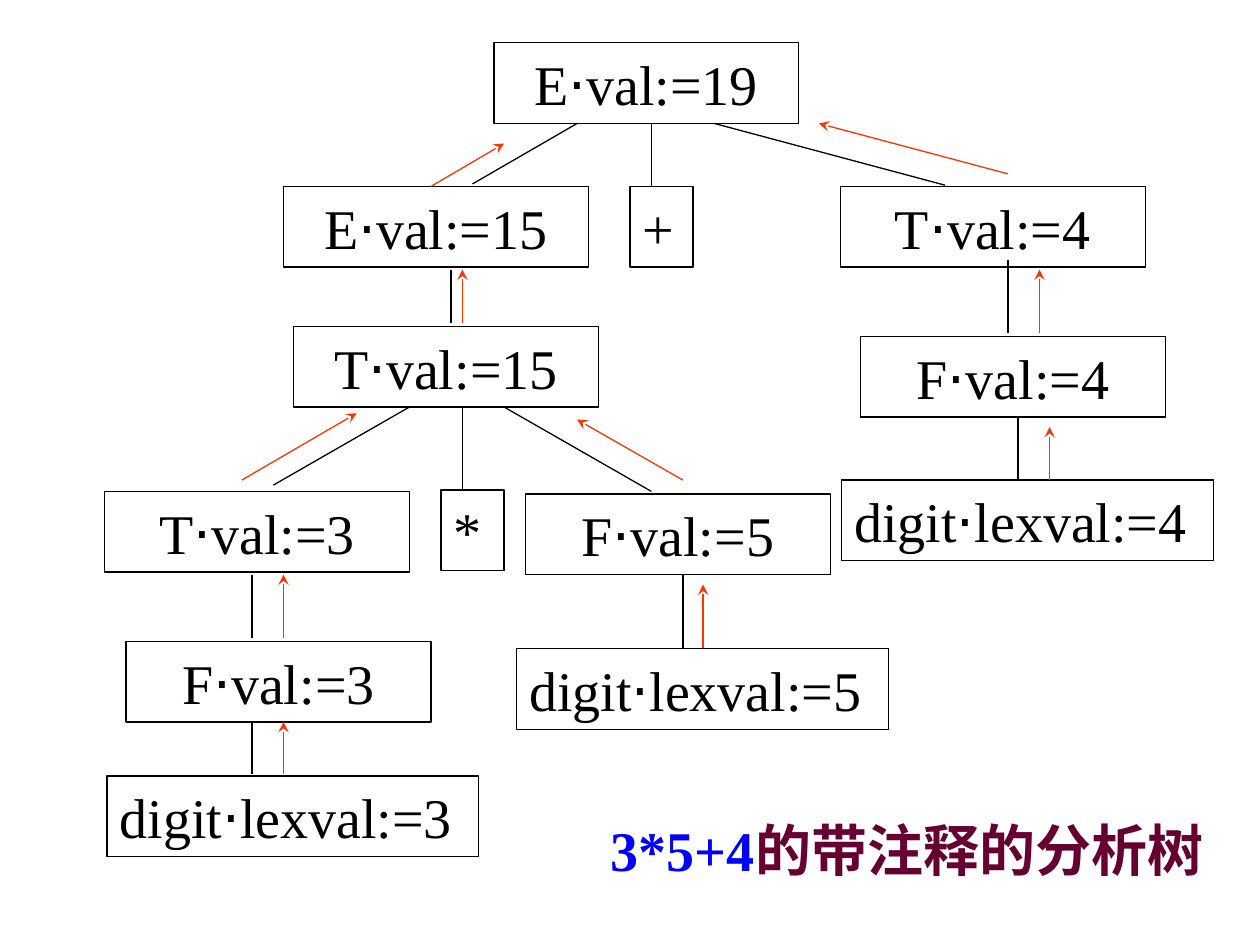
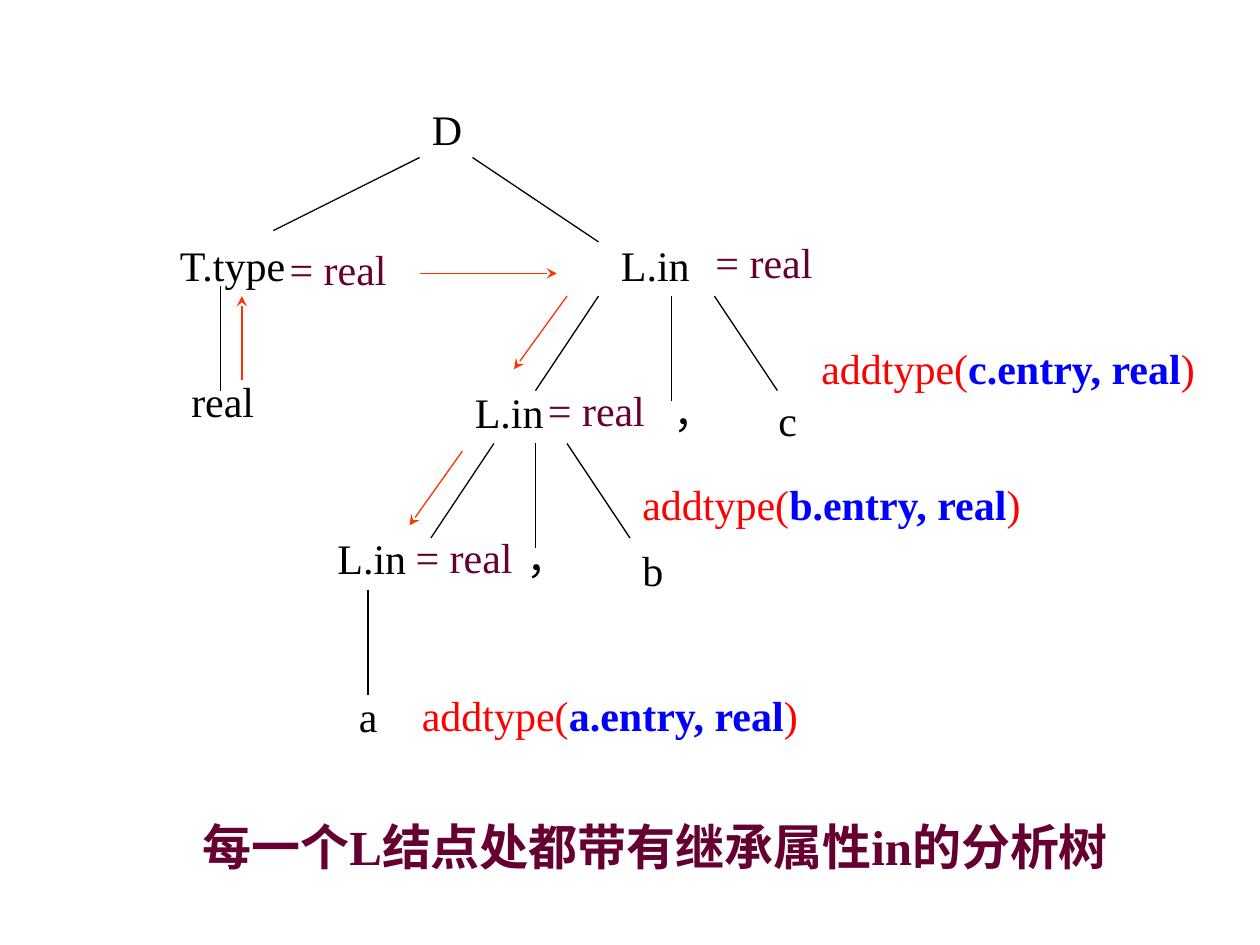
import pptx
import pptx.dml.color
import pptx.enum.shapes
import pptx.enum.text
import pptx.oxml.ns
import pptx.util
from lxml import etree
from pptx.util import Inches

COLOURS = {
    "ink": "000000",
    "paper": "FFFFFF",
    "flow": "FF3300",
    "caption": "660033",
    "action": "FF0000",
    "entry": "0000FF",
}
LATIN = "Times New Roman"
SYMBOL = "Arial"
DOT = "⋅"
LINE_WIDTH = 0.75
NODE_HEIGHT = 0.64
LABEL_HEIGHT = 0.5


def colour(name):
    return pptx.dml.color.RGBColor.from_string(COLOURS[name])


class TreePainter:
    """Draws annotated parse trees on the current page."""

    def __init__(self, deck):
        self.deck = deck
        self.page = None

    def new_page(self):
        self.page = self.deck.slides.add_slide(self.deck.slide_layouts[6])

    def fill_text(self, box, spans, size, centred=False):
        """Fill a box with spans of (text, colour, bold, font)."""
        frame = box.text_frame
        frame.word_wrap = True
        paragraph = frame.paragraphs[0]
        align = pptx.enum.text.PP_ALIGN
        paragraph.alignment = align.CENTER if centred else align.LEFT
        for text, ink, bold, face in spans:
            span = paragraph.add_run()
            span.text = text
            span.font.name = face
            span.font.size = pptx.util.Pt(size)
            span.font.bold = bold
            span.font.color.rgb = colour(ink)

    def node(self, left, top, width, text, centred=True):
        box = self.page.shapes.add_shape(
            pptx.enum.shapes.MSO_SHAPE.RECTANGLE,
            Inches(left), Inches(top), Inches(width), Inches(NODE_HEIGHT))
        box.shadow.inherit = False
        box.fill.solid()
        box.fill.fore_color.rgb = colour("paper")
        box.line.color.rgb = colour("ink")
        box.line.width = pptx.util.Pt(LINE_WIDTH)
        box.text_frame.vertical_anchor = pptx.enum.text.MSO_ANCHOR.MIDDLE
        symbol, dot, attribute = text.partition(DOT)
        spans = [(symbol, "ink", False, LATIN)]
        if dot:
            spans += [(dot, "ink", False, SYMBOL), (attribute, "ink", False, LATIN)]
        self.fill_text(box, spans, 32, centred)

    def text(self, left, top, width, spans, size=24, height=LABEL_HEIGHT):
        box = self.page.shapes.add_textbox(
            Inches(left), Inches(top), Inches(width), Inches(height))
        self.fill_text(box, [(*span, LATIN) for span in spans], size)

    def label(self, left, top, text, ink="ink"):
        self.text(left, top, 1.1, [(text, ink, False)])

    def action(self, left, top, name):
        self.text(left, top, 3.4, [
            ("addtype(", "action", False),
            (f"{name}.entry, real", "entry", True),
            (")", "action", False)])

    def edge(self, x1, y1, x2, y2, ink="ink"):
        line = self.page.shapes.add_connector(
            pptx.enum.shapes.MSO_CONNECTOR.STRAIGHT,
            Inches(x1), Inches(y1), Inches(x2), Inches(y2))
        line.line.color.rgb = colour(ink)
        line.line.width = pptx.util.Pt(LINE_WIDTH)
        properties = line._element.spPr
        etree.SubElement(properties, pptx.oxml.ns.qn("a:effectLst"))
        return line

    def flow(self, x1, y1, x2, y2):
        line = self.edge(x1, y1, x2, y2, "flow")
        outline = line._element.spPr.find(pptx.oxml.ns.qn("a:ln"))
        etree.SubElement(outline, pptx.oxml.ns.qn("a:tailEnd"), type="stealth")


def expression_tree(painter):
    painter.new_page()
    # Nodes with a synthesized value
    for left, top, text in [
            (3.92, 0.34, "E⋅val:=19"), (2.25, 1.48, "E⋅val:=15"),
            (6.67, 1.48, "T⋅val:=4"), (2.33, 2.59, "T⋅val:=15"),
            (6.83, 2.67, "F⋅val:=4"), (0.83, 3.9, "T⋅val:=3"),
            (4.17, 3.92, "F⋅val:=5"), (1, 5.09, "F⋅val:=3")]:
        painter.node(left, top, 2.42, text)
    # Leaves: digits and operators
    for left, top, digit in [(0.85, 6.16, 3), (4.1, 5.15, 5), (6.68, 3.81, 4)]:
        painter.node(left, top, 2.95, f"digit⋅lexval:={digit}", centred=False)
    for left, top, operator in [(5, 1.48, "+"), (3.5, 3.89, "*")]:
        painter.node(left, top, 0.5, operator, centred=False)
    # Tree edges
    for ends in [
            (4.58, 0.98, 3.75, 1.46), (5.17, 0.98, 5.17, 1.48),
            (5.67, 0.98, 7.5, 1.47), (3.58, 2.56, 3.58, 2.14),
            (8, 2.64, 8, 2.06), (8.08, 3.81, 8.08, 3.31),
            (3.25, 3.23, 2.17, 3.85), (3.67, 3.23, 3.67, 3.89),
            (4, 3.23, 5.17, 3.9), (2, 5.06, 2, 4.56),
            (2, 6.14, 2, 5.73), (5.42, 5.14, 5.42, 4.56)]:
        painter.edge(*ends)
    # Values flowing upwards
    for ends in [
            (2.25, 6.14, 2.25, 5.73), (2.25, 5.06, 2.25, 4.56),
            (5.58, 5.14, 5.58, 4.64), (1.92, 3.81, 2.83, 3.28),
            (5.42, 3.81, 4.58, 3.33), (3.67, 2.56, 3.67, 2.14),
            (8.33, 3.81, 8.33, 3.39), (8.25, 2.64, 8.25, 2.14),
            (3.42, 1.48, 4, 1.14), (8, 1.38, 6.5, 0.98)]:
        painter.flow(*ends)
    # Caption
    painter.text(4.75, 6.42, 4.92, [
        ("3*5+4", "entry", True),
        ("的带注释的分析树", "caption", True)], size=32, height=1.17)


def declaration_tree(painter):
    painter.new_page()
    # Grammar symbols
    for left, top, symbol in [
            (3.33, 0.77, "D"), (1.33, 1.85, "T.type"), (4.83, 1.85, "L.in"),
            (1.42, 2.93, "real"), (3.67, 3.02, "L.in"), (5.25, 3.02, "，"),
            (6.08, 3.08, "c"), (2.58, 4.18, "L.in"), (4.08, 4.18, "，"),
            (5, 4.27, "b"), (2.75, 5.43, "a")]:
        painter.label(left, top, symbol)
    # Inherited values
    for left, top in [(2.2, 1.88), (5.58, 1.83), (4.25, 3), (3.2, 4.17)]:
        painter.label(left, top, "= real", "caption")
    # Semantic actions
    for left, top, name in [(6.42, 2.67, "c"), (5, 3.75, "b"), (3.25, 5.42, "a")]:
        painter.action(left, top, name)
    # Tree edges
    for ends in [
            (3.33, 1.25, 2.17, 1.83), (3.75, 1.25, 4.75, 1.92),
            (1.75, 2.27, 1.75, 3.1), (4.75, 2.35, 4.25, 3.1),
            (5.33, 2.35, 5.33, 3.18), (5.67, 2.35, 6.17, 3.1),
            (3.92, 3.52, 3.42, 4.27), (4.25, 3.52, 4.25, 4.35),
            (4.5, 3.52, 5, 4.27), (2.92, 4.68, 2.92, 5.52)]:
        painter.edge(*ends)
    # The type passed across and down
    for ends in [
            (1.92, 3.02, 1.92, 2.35), (3.33, 2.17, 4.42, 2.17),
            (4.5, 2.35, 4.08, 2.93), (3.67, 3.58, 3.25, 4.17)]:
        painter.flow(*ends)
    # Caption
    painter.text(1.51, 6.43, 7.82, [
        ("每一个L结点处都带有继承属性in的分析树", "caption", True)],
        size=28, height=0.57)


def main():
    deck = pptx.Presentation()
    deck.slide_width = Inches(10)
    deck.slide_height = Inches(7.5)
    painter = TreePainter(deck)
    expression_tree(painter)
    declaration_tree(painter)
    deck.save("out.pptx")


if __name__ == "__main__":
    main()
